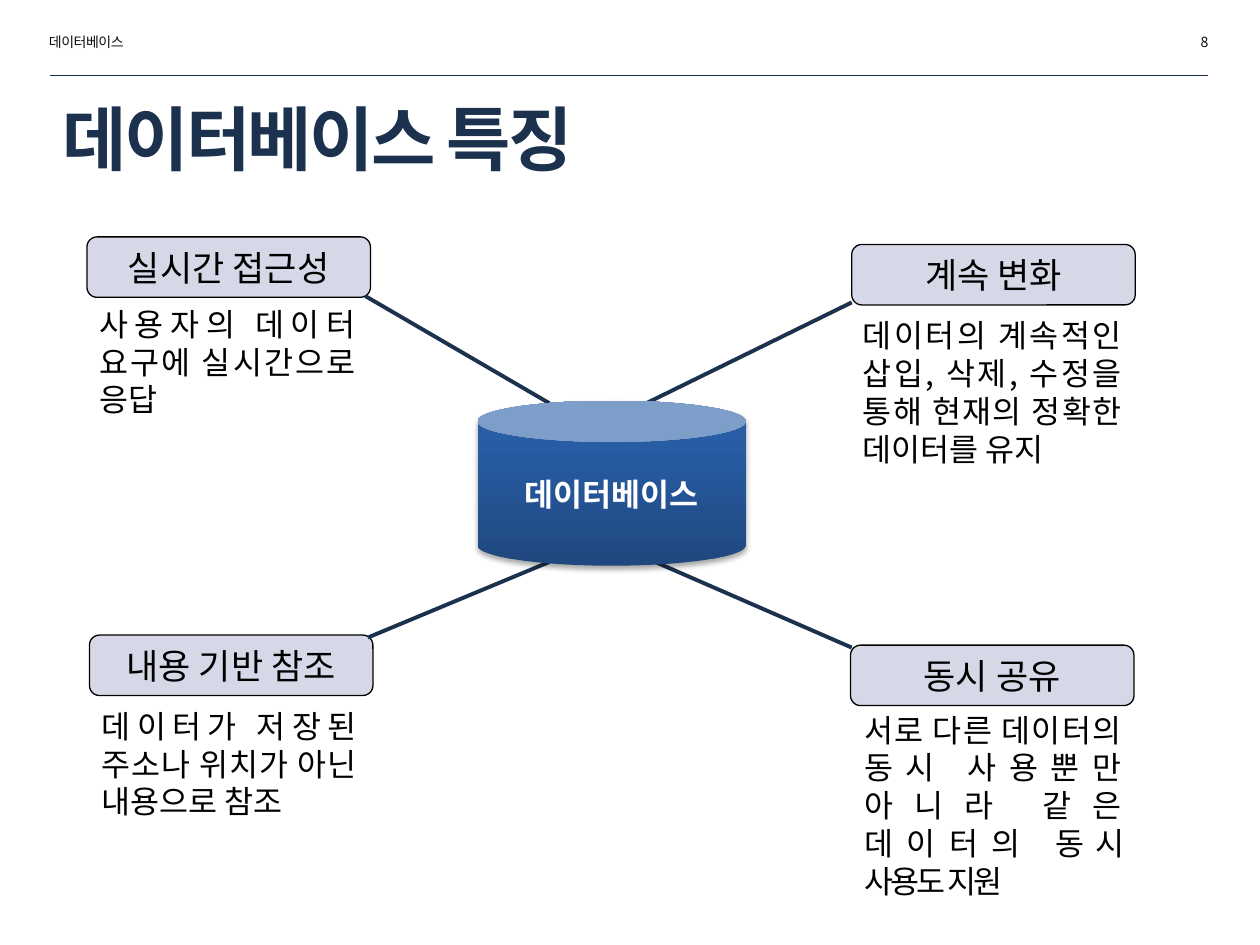
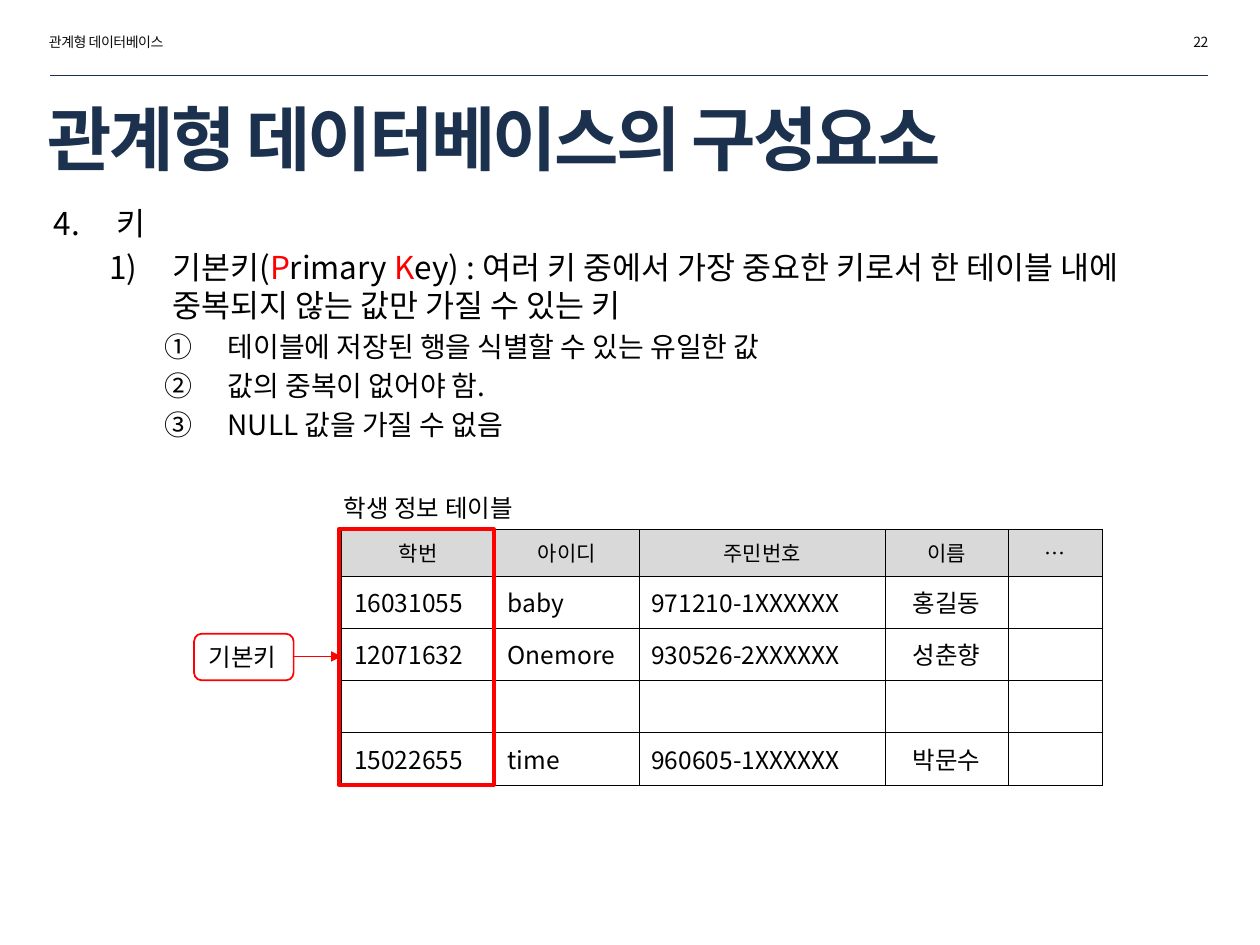
from copy import deepcopy
from dataclasses import dataclass

from lxml.etree import SubElement
from pptx import Presentation
from pptx.dml.color import RGBColor
from pptx.enum.shapes import MSO_CONNECTOR, MSO_SHAPE
from pptx.enum.text import MSO_ANCHOR, PP_ALIGN
from pptx.oxml.ns import qn
from pptx.util import Inches, Pt

LEFT, MID, RIGHT, JUST = PP_ALIGN.LEFT, PP_ALIGN.CENTER, PP_ALIGN.RIGHT, PP_ALIGN.JUSTIFY
TOP, CENTER = MSO_ANCHOR.TOP, MSO_ANCHOR.MIDDLE
RECT, ROUND, CAN = MSO_SHAPE.RECTANGLE, MSO_SHAPE.ROUNDED_RECTANGLE, MSO_SHAPE.CAN
STRAIGHT = MSO_CONNECTOR.STRAIGHT


@dataclass(frozen=True)
class Theme:
    face: str = "Noto Sans CJK KR"
    navy: str = "1C314E"
    ink: str = "0D0D0D"
    black: str = "000000"
    white: str = "FFFFFF"
    red: str = "FF0000"
    label: str = "D7D8E7"
    head: str = "D9D9D9"
    blues: tuple = ((0, "1F4880"), (0.8, "295EA7"), (1, "265EAA"))
    title: int = 40
    big: int = 20
    body: int = 18
    item: int = 16
    cell: int = 14
    small: int = 12
    note: int = 8
    tight: float = -1.5
    leading: float = 1.2


T = Theme()

# Content: slide of features
TRAITS = [  # label, its place, text, its place, spoke
    ("실시간 접근성", (0.69, 1.88), ["사용자의 데이터 요구에 실시간으로 응답"],
     (0.69, 2.37, 2.23, 1.01), (2.9, 2.35, 4.36, 3.2)),
    ("계속 변화", (6.76, 1.94), ["데이터의 계속적인 삽입, 삭제, 수정을 통해 현재의 정확한 데이터를 유지"],
     (6.75, 2.46, 2.25, 1.31), (5.13, 3.2, 6.76, 2.4)),
    ("내용 기반 참조", (0.71, 5.04), ["데이터가 저장된 주소나 위치가 아닌 내용으로 참조"],
     (0.71, 5.56, 2.22, 1.01), (2.92, 5.06, 4.36, 4.46)),
    ("동시 공유", (6.75, 5.12),
     ["서로 다른 데이터의 동시 사용뿐만 아니라 같은 데이터의 ", "동시 사용도 지원"],
     (6.76, 5.59, 2.24, 1.62), (5.2, 4.46, 6.76, 5.14)),
]

# Content: slide of keys; every second part of a line is red
LINES = [  # level, numbering, first number, size, parts
    (0, "arabicPeriod", 4, T.body, ["키"]),
    (1, "arabicParenR", 1, T.body,
     ["기본키(", "P", "rimary ", "K",
      "ey) : 여러 키 중에서 가장 중요한 키로서 한 테이블 내에 중복되지 않는 값만 가질 수 있는 키"]),
    (2, "circleNumDbPlain", 1, T.item, ["테이블에 저장된 행을 식별할 수 있는 유일한 값"]),
    (2, "circleNumDbPlain", 1, T.item, ["값의 중복이 없어야 함."]),
    (2, "circleNumDbPlain", 1, T.item, ["NULL 값을 가질 수 없음"]),
]
ROWS = [
    ("학번", "아이디", "주민번호", "이름", "…"),
    ("16031055", "baby", "971210-1XXXXXX", "홍길동", ""),
    ("12071632", "Onemore", "930526-2XXXXXX", "성춘향", ""),
    ("", "", "", "", ""),
    ("15022655", "time", "960605-1XXXXXX", "박문수", ""),
]
COLS = (1.22, 1.14, 1.96, 0.97, 0.75)
GRID = (2.71, 4.2, sum(COLS), 2.03)
HEAD_H = 0.37


def rgb(code):
    return RGBColor.from_string(code)


def style(para, size, color=T.black, bold=False, space=0, align=LEFT):
    para.alignment = align
    font = para.font
    font.name, font.size, font.bold = T.face, Pt(size), bold
    font.color.rgb = rgb(color)
    SubElement(font._element, qn("a:ea"), typeface=T.face)
    if space:
        font._element.set("spc", str(round(space * 100)))


def write(frame, text, size, anchor=CENTER, **look):
    frame.word_wrap = True
    frame.vertical_anchor = anchor
    para = frame.paragraphs[0]
    para.text = text
    style(para, size, **look)
    return para


def add_text(slide, box, text, size, **look):
    frame = slide.shapes.add_textbox(*map(Inches, box)).text_frame
    return write(frame, text, size, **look)


def add_box(slide, kind, box, fill=None, line=None, width=1):
    shape = slide.shapes.add_shape(kind, *map(Inches, box))
    shape.shadow.inherit = False
    if fill:
        shape.fill.solid()
        shape.fill.fore_color.rgb = rgb(fill)
    else:
        shape.fill.background()
    if line:
        shape.line.color.rgb = rgb(line)
        shape.line.width = Pt(width)
    else:
        shape.line.fill.background()
    return shape


def add_line(slide, ends, color, width, arrow=False):
    line = slide.shapes.add_connector(STRAIGHT, *map(Inches, ends))
    line.line.color.rgb = rgb(color)
    line.line.width = Pt(width)
    if arrow:
        SubElement(line.line._get_or_add_ln(), qn("a:tailEnd"), type="triangle")
    SubElement(line._element.spPr, qn("a:effectLst"))


def add_page(deck, topic, number, title, left):
    slide = deck.slides.add_slide(deck.slide_layouts[6])
    add_text(slide, (0.29, 0.21, 1.73, 0.24), topic, T.note, color=T.ink, space=-0.3)
    add_text(slide, (7.96, 0.21, 1.73, 0.24), number, T.note, color=T.ink,
             space=-0.3, align=RIGHT)
    add_line(slide, (0.4, 0.6, 9.59, 0.6), T.navy, 0.25)
    add_text(slide, (left, 0.77, 9.19, 0.64), title, T.title, color=T.navy,
             bold=True, space=T.tight)
    return slide


def add_can(slide, box, text):
    can = add_box(slide, CAN, box)
    can.fill.gradient()
    can.fill.gradient_angle = 90
    stops = can._element.spPr.find(qn("a:gradFill")).find(qn("a:gsLst"))
    stops.append(deepcopy(stops[0]))
    for stop, (spot, color) in zip(can.fill.gradient_stops, T.blues):
        stop.position = spot
        stop.color.rgb = rgb(color)
    # Soft shadow below
    glow = SubElement(can._element.spPr.find(qn("a:effectLst")), qn("a:outerShdw"),
                      blurRad=str(Pt(3.1)), dist=str(Pt(1.8)), dir="5400000",
                      rotWithShape="0")
    tint = SubElement(glow, qn("a:srgbClr"), val=T.black)
    SubElement(tint, qn("a:alpha"), val="35000")
    write(can.text_frame, text, T.body, color=T.white, bold=True, align=MID)


def add_list(slide, box):
    frame = slide.shapes.add_textbox(*map(Inches, box)).text_frame
    frame.word_wrap = True
    for i, (level, kind, start, size, parts) in enumerate(LINES):
        para = frame.add_paragraph() if i else frame.paragraphs[0]
        para.level = level
        para.line_spacing = Pt(size * T.leading)
        para.space_before = Pt(size * 0.2)
        props = para._p.get_or_add_pPr()
        props.set("marL", str(Inches(0.5 + 0.44 * level)))
        props.set("indent", str(Inches(-0.5)))
        SubElement(props, qn("a:buFont"), typeface=T.face)
        SubElement(props, qn("a:buAutoNum"), type=kind, startAt=str(start))
        style(para, size)
        for j, part in enumerate(parts):
            run = para.add_run()
            run.text = part
            if j % 2:
                run.font.color.rgb = rgb(T.red)


def edge(cell):
    props = cell._tc.get_or_add_tcPr()
    for i, side in enumerate(("lnL", "lnR", "lnT", "lnB")):
        line = props.makeelement(qn("a:" + side), {"w": str(Pt(0.25))})
        props.insert(i, line)
        SubElement(SubElement(line, qn("a:solidFill")), qn("a:srgbClr"), val=T.black)


def add_grid(slide):
    table = slide.shapes.add_table(len(ROWS), len(COLS), *map(Inches, GRID)).table
    table.first_row = table.horz_banding = False
    for col, width in zip(table.columns, COLS):
        col.width = Inches(width)
    step = (GRID[3] - HEAD_H) / (len(ROWS) - 1)
    for r, row in enumerate(ROWS):
        table.rows[r].height = Inches(step if r else HEAD_H)
        for c, text in enumerate(row):
            cell = table.cell(r, c)
            cell.vertical_anchor = CENTER
            if r:
                cell.fill.background()
            else:
                cell.fill.solid()
                cell.fill.fore_color.rgb = rgb(T.head)
            edge(cell)
            size = T.cell if r else T.small
            para = cell.text_frame.paragraphs[0]
            para.text = text
            style(para, size, align=LEFT if r and c < 3 else MID)
            if not text:
                SubElement(para._p, qn("a:endParaRPr"), sz=str(size * 100))


def add_traits(deck):
    slide = add_page(deck, "데이터베이스", "8", "데이터베이스 특징", 0.4)
    for label, spot, parts, box, spoke in TRAITS:
        tag = add_box(slide, ROUND, (*spot, 2.25, 0.48), T.label, T.black, 0.75)
        write(tag.text_frame, label, T.big, align=MID)
        add_line(slide, spoke, T.navy, 2.25)
        para = add_text(slide, box, parts[0], T.body, anchor=TOP, align=JUST)
        para.line_spacing = Pt(T.body * T.leading)
        for part in parts[1:]:
            run = para.add_run()
            run.text = part
            run._r.get_or_add_rPr().set("spc", str(round(T.tight * 100)))
    add_can(slide, (3.79, 3.18, 2.13, 1.31), "데이터베이스")


def add_keys(deck):
    slide = add_page(deck, "관계형 데이터베이스", "22", "관계형 데이터베이스의 구성요소", 0.28)
    add_list(slide, (0.33, 1.57, 9.26, 5.25))
    add_grid(slide)
    # Primary key column and its callout
    add_box(slide, RECT, (2.69, 4.2, 1.23, 2.03), line=T.red, width=2)
    tag = add_box(slide, ROUND, (1.54, 5.03, 0.79, 0.37), line=T.red)
    write(tag.text_frame, "기본키", T.cell)
    add_line(slide, (2.33, 5.21, 2.71, 5.21), T.red, 0.75, arrow=True)
    add_text(slide, (2.63, 3.86, 2.09, 0.34), "학생 정보 테이블", T.cell)


def main():
    deck = Presentation()
    deck.slide_width, deck.slide_height = Inches(10), Inches(7.5)
    add_traits(deck)
    add_keys(deck)
    deck.save("out.pptx")


if __name__ == "__main__":
    main()
